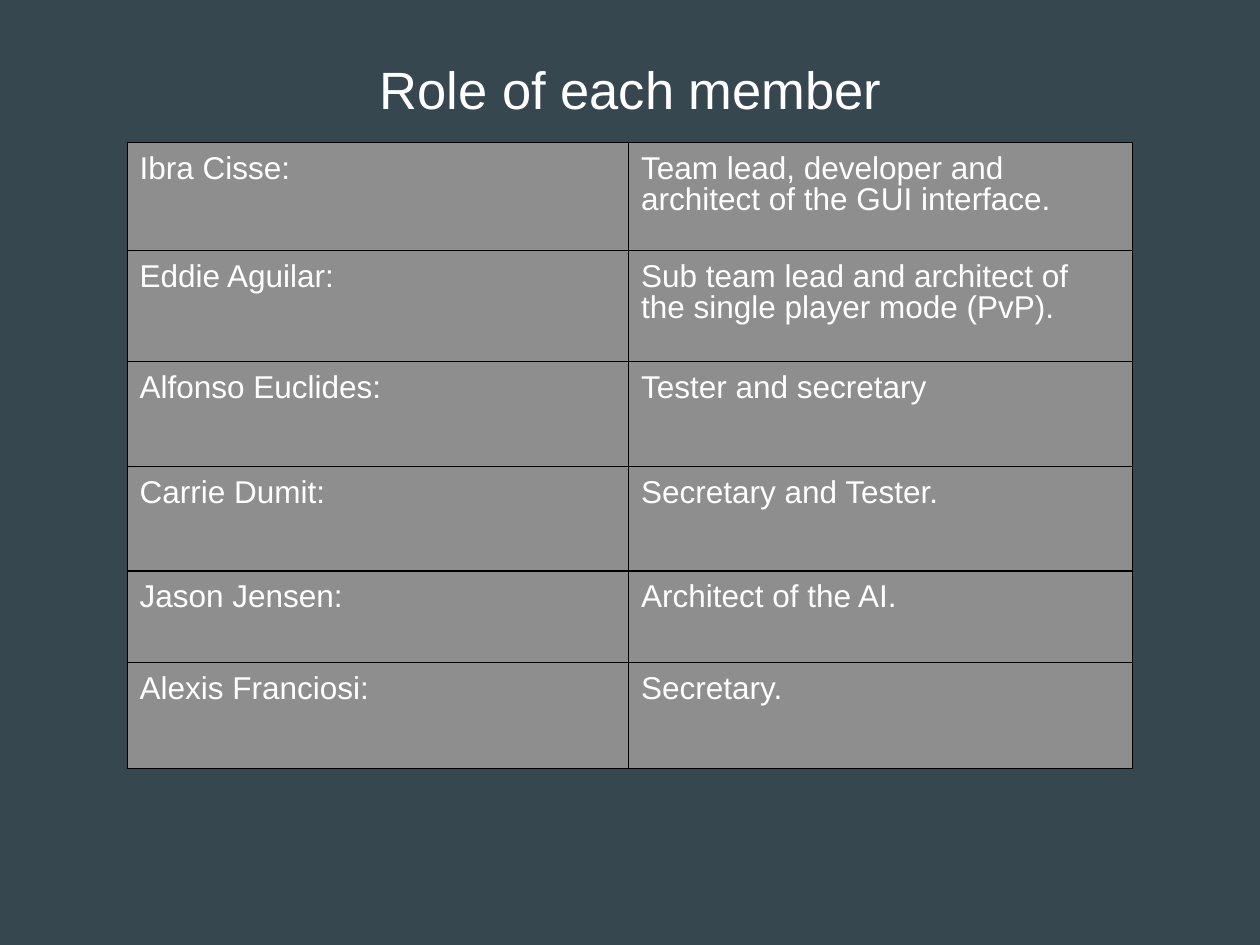
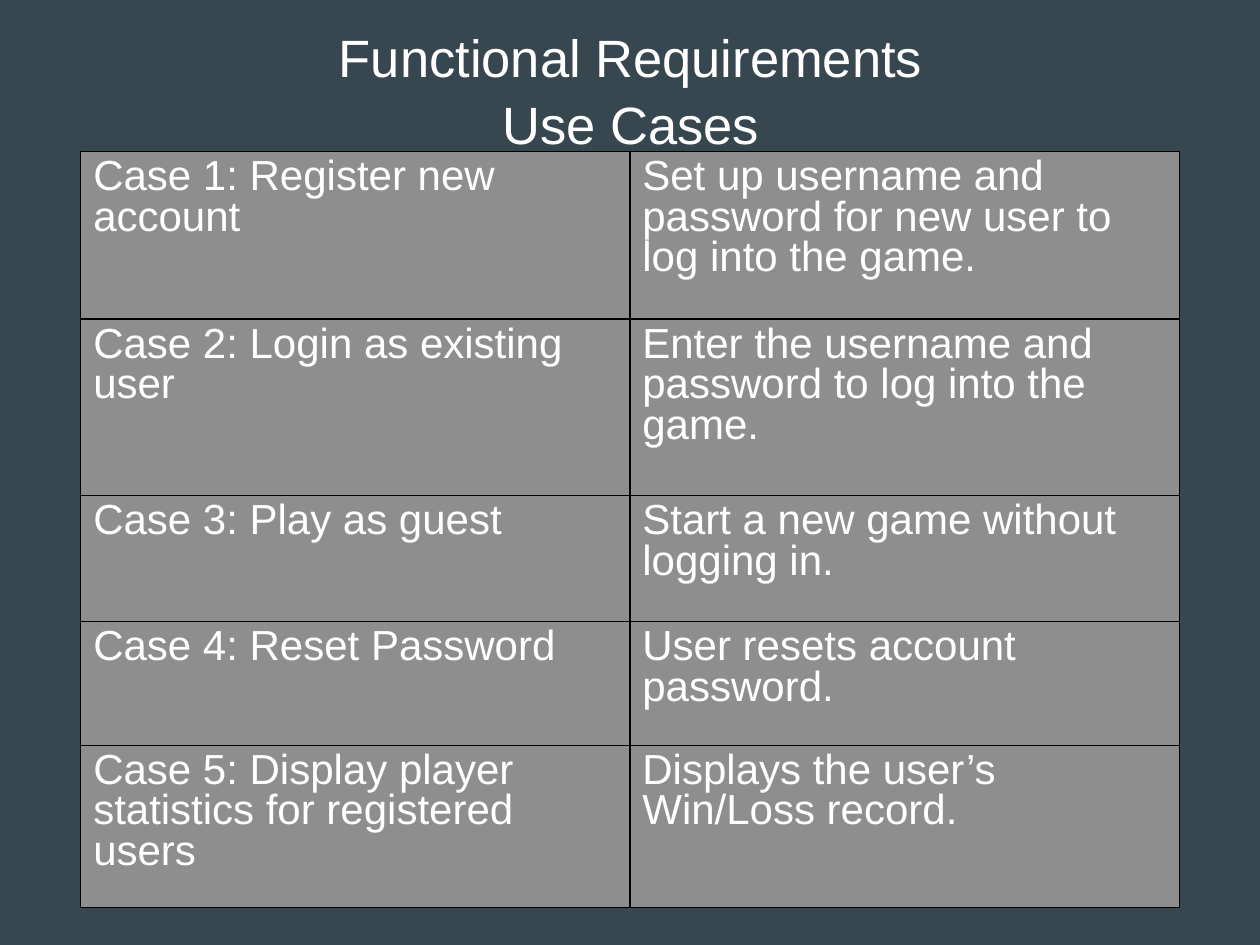
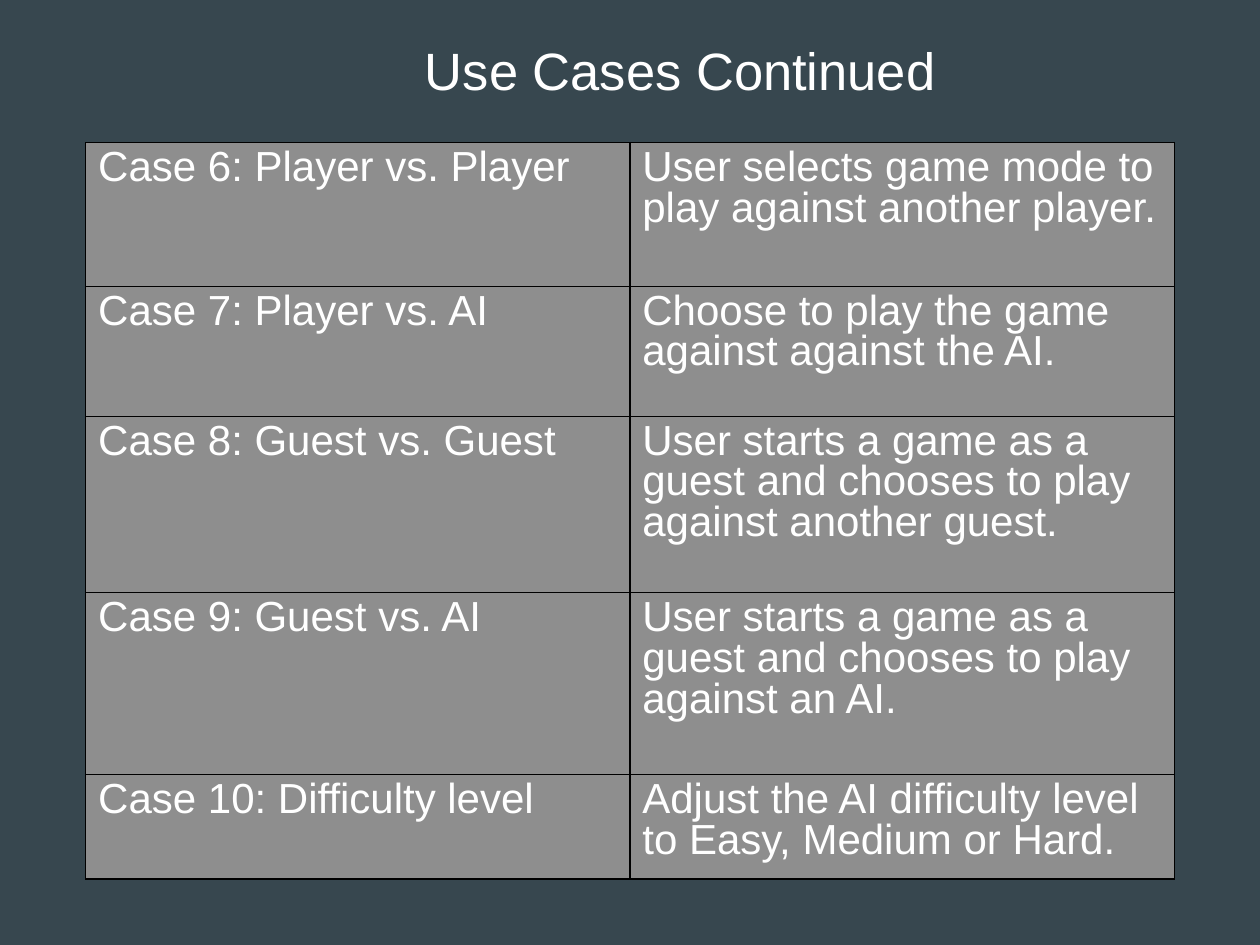
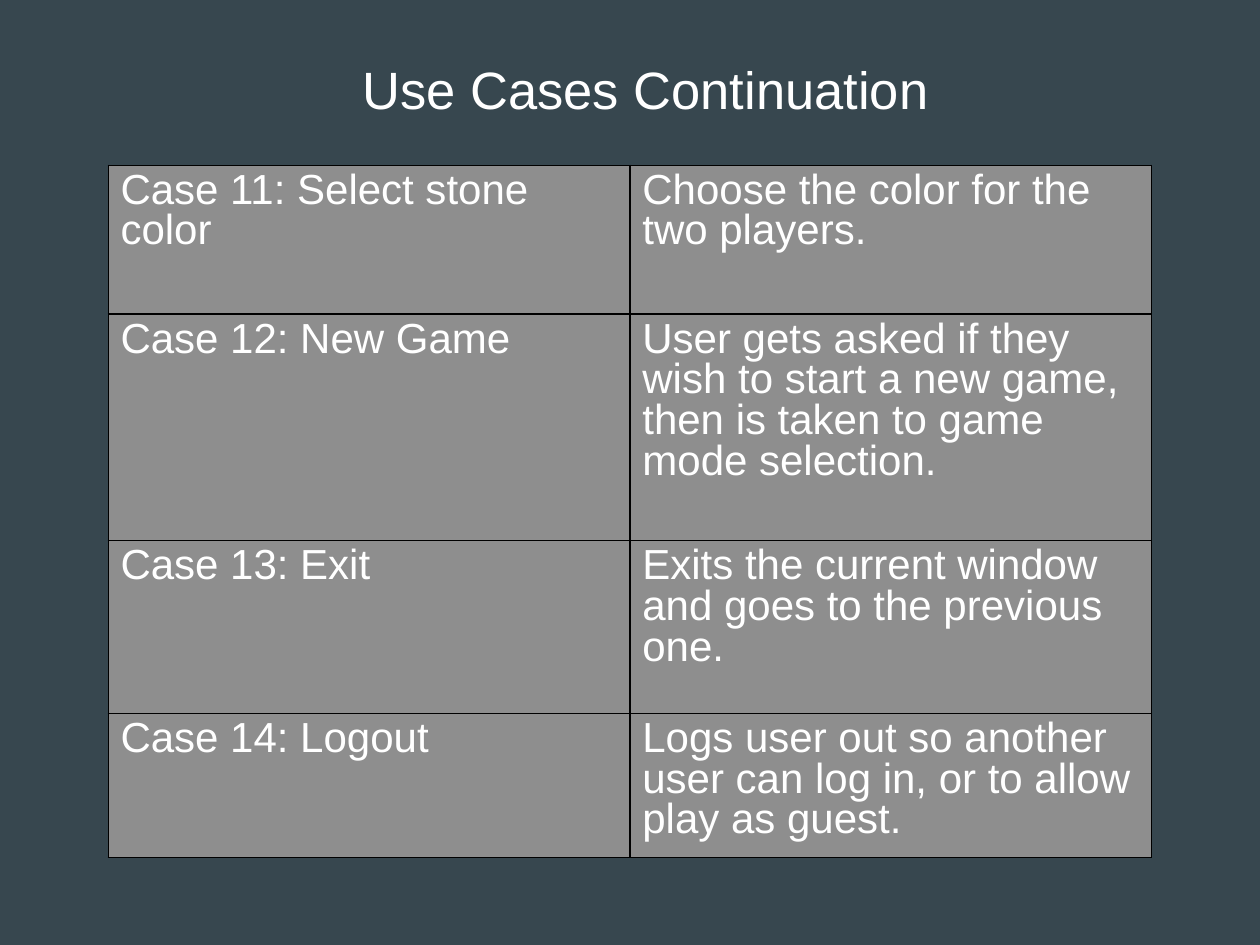
from dataclasses import dataclass
from typing import Optional

from lxml.etree import SubElement
from pptx import Presentation
from pptx.dml.color import RGBColor
from pptx.enum.text import MSO_ANCHOR, MSO_AUTO_SIZE, PP_ALIGN
from pptx.oxml.ns import qn
from pptx.util import Cm, Pt

SLIDE_WIDTH, SLIDE_HEIGHT = 25.4, 19.05
TITLE_WIDTH = 18.21
BACKGROUND, CELL, INK, BORDER = "37474F", "8E8E8E", "FFFFFF", "000000"
FONT = "Arial"
BORDER_WIDTH = Pt(0.75)
TITLE_ONLY = 5


@dataclass(frozen=True)
class Heading:
    """Title wording with its place and spacing, in centimetres."""

    text: str
    top: float
    height: float
    left: float = 3.61
    insets: tuple[float, float, float, float] = (0.25, 0.13, 0.25, 0.13)
    anchor: MSO_ANCHOR = MSO_ANCHOR.TOP
    spacing: float = 1.07


@dataclass(frozen=True)
class Row:
    """One table row: what it is about, its description and its height."""

    subject: str
    description: str
    height: float


@dataclass(frozen=True)
class Grid:
    """A two-column table centred across the slide, in centimetres."""

    top: float
    columns: tuple[float, float]
    rows: tuple[Row, ...]
    size: int = 24
    vertical_inset: float = 0.13


PAGES = (
    (
        Heading("Role of each member", 0.94, 1.93),
        Grid(2.87, (10.11, 10.16), (
            Row("Ibra Cisse:", "Team lead, developer and architect of the GUI interface.", 2.18),
            Row("Eddie Aguilar:", "Sub team lead and architect of the single player mode (PvP).", 2.24),
            Row("Alfonso Euclides:", "Tester and secretary", 2.11),
            Row("Carrie Dumit:", "Secretary and Tester.", 2.11),
            Row("Jason Jensen:", "Architect of the AI.", 1.85),
            Row("Alexis Franciosi:", "Secretary.", 2.13),
        ), size=18, vertical_inset=0.25),
    ),
    (
        Heading("Functional Requirements\nUse Cases", 0.28, 2.77),
        Grid(3.05, (11.07, 11.07), (
            Row("Case 1: Register new account",
                "Set up username and password for new user to log into the game.", 3.38),
            Row("Case 2: Login as existing user",
                "Enter the username and password to log into the game.", 3.56),
            Row("Case 3: Play as guest", "Start a new game without logging in.", 2.54),
            Row("Case 4: Reset Password", "User resets account password.", 2.49),
            Row("Case 5: Display player statistics for registered users",
                "Displays the user’s Win/Loss record.", 3.28),
        )),
    ),
    (
        Heading("Use Cases Continued", 0.25, 2.36, insets=(2, 0.08, 0, 0),
                anchor=MSO_ANCHOR.MIDDLE, spacing=0.93),
        Grid(2.87, (10.97, 10.97), (
            Row("Case 6: Player vs. Player",
                "User selects game mode to play against another player.", 2.9),
            Row("Case 7: Player vs. AI", "Choose to play the game against against the AI.", 2.62),
            Row("Case 8: Guest vs. Guest",
                "User starts a game as a guest and chooses to play against another guest.", 3.56),
            Row("Case 9: Guest vs. AI",
                "User starts a game as a guest and chooses to play against an AI.", 3.66),
            Row("Case 10: Difficulty level",
                "Adjust the AI difficulty level to Easy, Medium or Hard.", 2.11),
        )),
    ),
    (
        Heading("Use Cases Continuation", 0.76, 2.11, left=3.91, insets=(0, 0.08, 0, 0),
                anchor=MSO_ANCHOR.MIDDLE, spacing=0.93),
        Grid(3.33, (10.52, 10.52), (
            Row("Case 11: Select stone color", "Choose the color for the two players.", 3),
            Row("Case 12: New Game",
                "User gets asked if they wish to start a new game, "
                "then is taken to game mode selection.", 4.57),
            Row("Case 13: Exit", "Exits the current window and goes to the previous one.", 3.48),
            Row("Case 14: Logout",
                "Logs user out so another user can log in, or to allow play as guest.", 2.9),
        )),
    ),
)


def paint(fill, color: str) -> None:
    """Make a fill solid in a hex colour."""
    fill.solid()
    fill.fore_color.rgb = RGBColor.from_string(color)


def write(frame, text: str, *, size: int, spacing: float,
          align: Optional[PP_ALIGN] = None, color: str = INK) -> None:
    """Put formatted text into the first paragraph of a text frame."""
    paragraph = frame.paragraphs[0]
    paragraph.text = text
    paragraph.alignment = align
    paragraph.line_spacing = spacing
    for run in paragraph.runs:
        run.font.name = FONT
        run.font.size = Pt(size)
        paint(run.font.fill, color)


def set_insets(target, insets: tuple[float, float, float, float]) -> None:
    """Set left, top, right and bottom margins of a cell or text frame."""
    (target.margin_left, target.margin_top,
     target.margin_right, target.margin_bottom) = map(Cm, insets)


def draw_heading(slide, heading: Heading) -> None:
    """Place and format the slide's title placeholder."""
    title = slide.shapes.title
    title.left, title.top = Cm(heading.left), Cm(heading.top)
    title.width, title.height = Cm(TITLE_WIDTH), Cm(heading.height)
    frame = title.text_frame
    frame.word_wrap = True
    frame.auto_size = MSO_AUTO_SIZE.NONE
    frame.vertical_anchor = heading.anchor
    set_insets(frame, heading.insets)
    write(frame, heading.text, size=30, spacing=heading.spacing, align=PP_ALIGN.CENTER)


def outline(cell) -> None:
    """Draw a thin border on all four sides of a cell."""
    properties = cell._tc.get_or_add_tcPr()
    for position, side in enumerate(("a:lnL", "a:lnR", "a:lnT", "a:lnB")):
        line = SubElement(properties, qn(side), w=str(BORDER_WIDTH))
        properties.insert(position, line)
        solid = SubElement(line, qn("a:solidFill"))
        SubElement(solid, qn("a:srgbClr"), val=BORDER)


def draw_grid(slide, grid: Grid) -> None:
    """Draw a table with its rows, fills and borders."""
    width = sum(grid.columns)
    table = slide.shapes.add_table(
        len(grid.rows), len(grid.columns), Cm((SLIDE_WIDTH - width) / 2), Cm(grid.top),
        Cm(width), Cm(sum(row.height for row in grid.rows))).table
    table.first_row = table.horz_banding = False
    for column, column_width in zip(table.columns, grid.columns):
        column.width = Cm(column_width)
    for table_row, row in zip(table.rows, grid.rows):
        table_row.height = Cm(row.height)
        for cell, text in zip(table_row.cells, (row.subject, row.description)):
            set_insets(cell, (0.25, grid.vertical_inset) * 2)
            write(cell.text_frame, text, size=grid.size, spacing=0.87)
            paint(cell.fill, CELL)
            outline(cell)


def main() -> None:
    """Build the slides and save the presentation."""
    presentation = Presentation()
    presentation.slide_width, presentation.slide_height = Cm(SLIDE_WIDTH), Cm(SLIDE_HEIGHT)
    paint(presentation.slide_master.background.fill, BACKGROUND)
    for heading, grid in PAGES:
        slide = presentation.slides.add_slide(presentation.slide_layouts[TITLE_ONLY])
        draw_heading(slide, heading)
        draw_grid(slide, grid)
    presentation.save("out.pptx")


if __name__ == "__main__":
    main()
